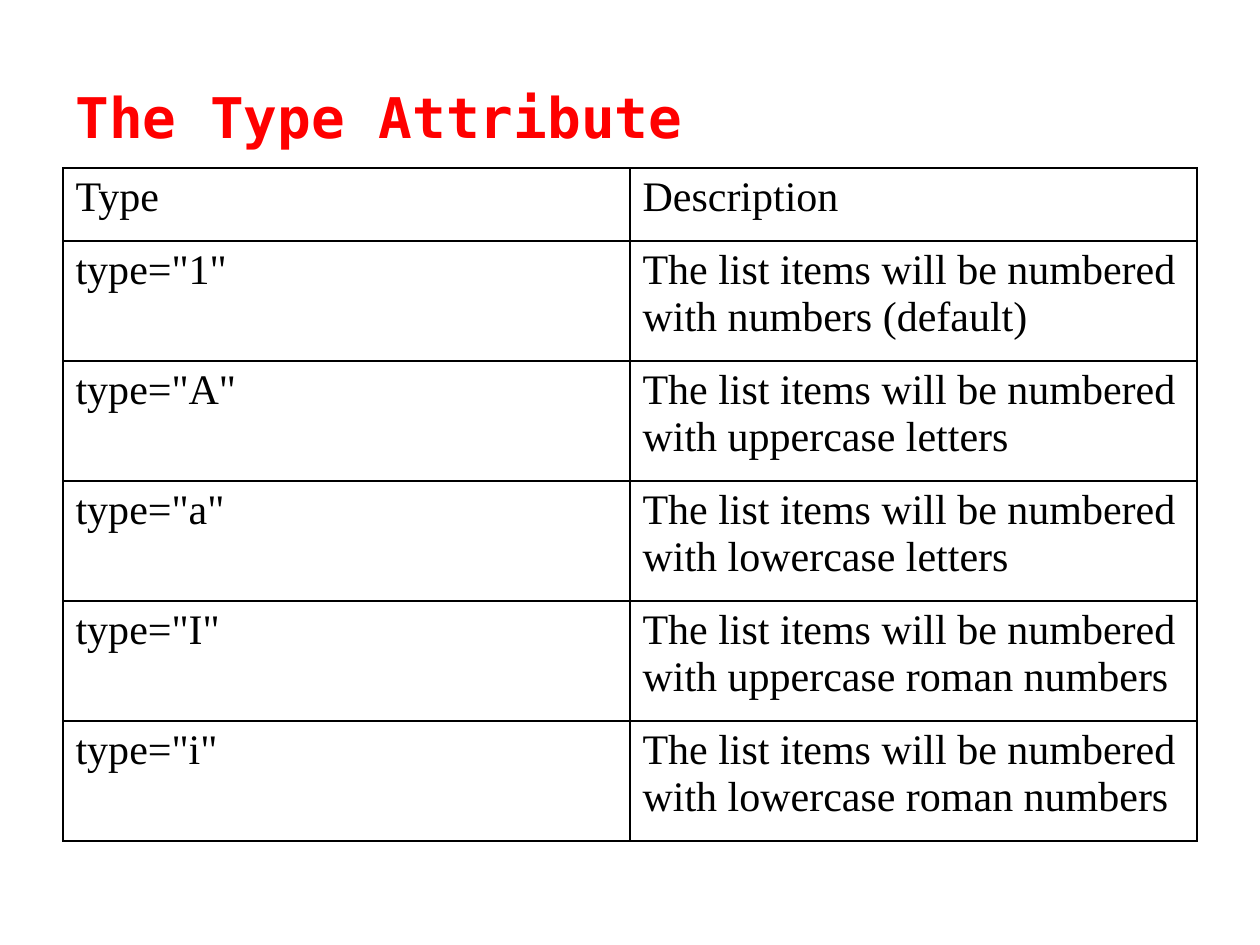
from lxml.etree import SubElement
from pptx import Presentation
from pptx.dml.color import RGBColor
from pptx.enum.text import MSO_ANCHOR as Anchor
from pptx.oxml.ns import qn
from pptx.util import Emu, Pt

TITLE = "The Type Attribute"
ROWS = [
    ("Type", "Description"),
    ('type="1"', "The list items will be numbered with numbers (default)"),
    ('type="A"', "The list items will be numbered with uppercase letters"),
    ('type="a"', "The list items will be numbered with lowercase letters"),
    ('type="I"', "The list items will be numbered with uppercase roman numbers"),
    ('type="i"', "The list items will be numbered with lowercase roman numbers"),
]
BLACK, RED, WHITE = "000000", "FF0000", "FFFFFF"
LEFT, WIDTH = 63, 1134
TITLE_TOP, TITLE_H = 38, 157
TABLE_TOP, HEADER_H, ROW_H = 168, 73, 120


def px(n):
    return Emu(round(n * 914400 / 126))


def color(hex_code):
    return RGBColor.from_string(hex_code)


def write(tf, text, font="Times New Roman", size=24, fill=BLACK, bold=False):
    tf.word_wrap = True
    r = tf.paragraphs[0].add_run()
    r.text = text
    r.font.name, r.font.size, r.font.bold = font, Pt(size), bold
    r.font.color.rgb = color(fill)


def set_borders(cell, width=1, line=BLACK):
    """Draw all four cell edges; they must precede the fill in tcPr."""
    tc_pr = cell._tc.get_or_add_tcPr()
    for side in ("lnL", "lnR", "lnT", "lnB"):
        ln = SubElement(tc_pr, qn(f"a:{side}"), w=str(Pt(width)))
        SubElement(SubElement(ln, qn("a:solidFill")), qn("a:srgbClr"), val=line)


def add_title(slide):
    box = slide.shapes.add_textbox(px(LEFT), px(TITLE_TOP), px(WIDTH), px(TITLE_H))
    tf = box.text_frame
    tf.vertical_anchor = Anchor.MIDDLE
    write(tf, TITLE, font="DejaVu Sans Mono", size=32, fill=RED, bold=True)


def add_type_table(slide):
    heights = [HEADER_H] + [ROW_H] * (len(ROWS) - 1)
    table = slide.shapes.add_table(
        len(ROWS), len(ROWS[0]), px(LEFT), px(TABLE_TOP), px(WIDTH), px(sum(heights))
    ).table
    table.first_row = table.horz_banding = False
    for i, (texts, height) in enumerate(zip(ROWS, heights)):
        table.rows[i].height = px(height)
        for j, text in enumerate(texts):
            cell = table.cell(i, j)
            write(cell.text_frame, text)
            set_borders(cell)
            cell.fill.solid()
            cell.fill.fore_color.rgb = color(WHITE)


def main():
    prs = Presentation()
    prs.slide_width, prs.slide_height = px(1260), px(945)
    slide = prs.slides.add_slide(prs.slide_layouts[6])
    add_type_table(slide)
    add_title(slide)
    prs.save("out.pptx")


if __name__ == "__main__":
    main()
